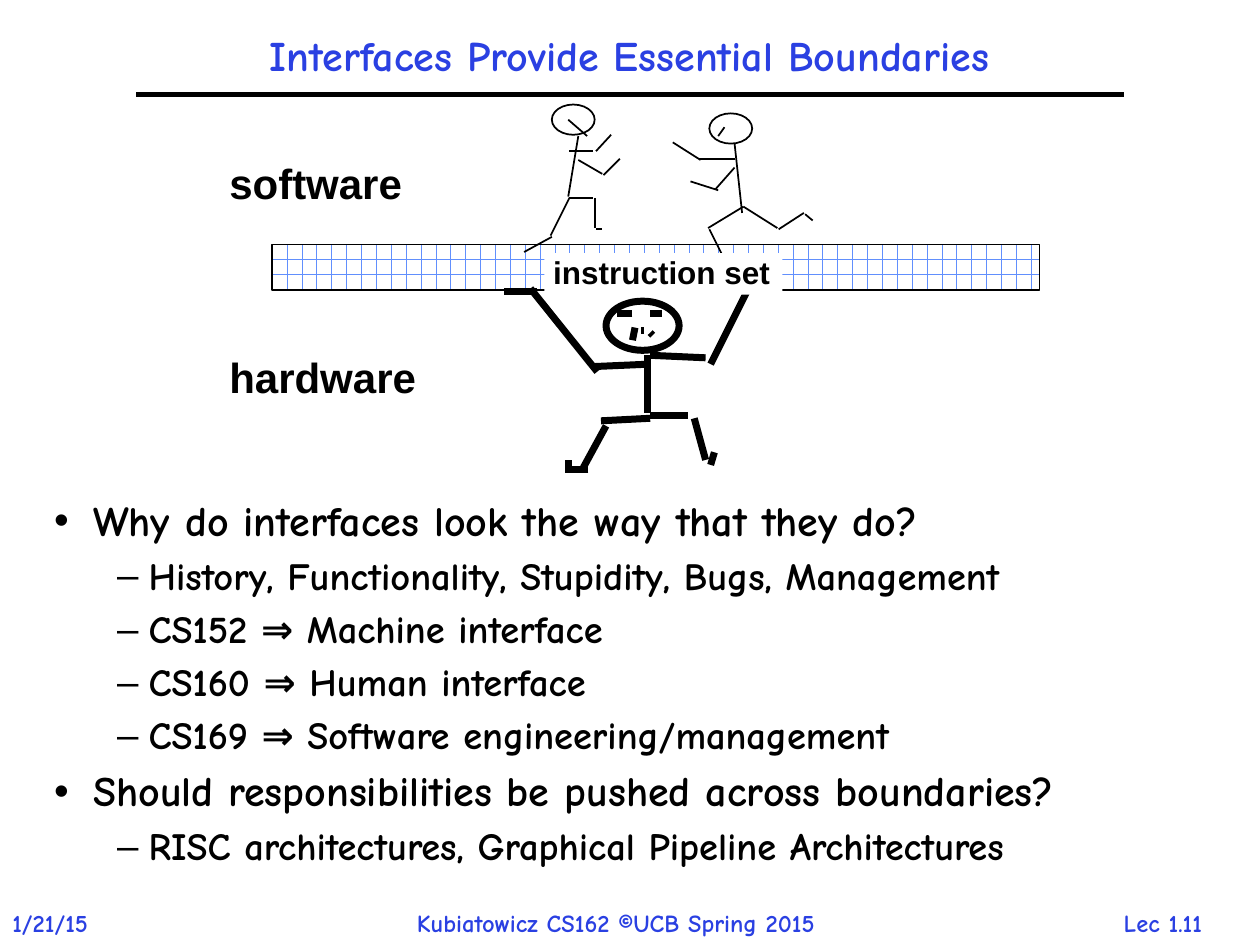
from dataclasses import dataclass
from typing import NamedTuple

from lxml.etree import SubElement
from pptx import Presentation
from pptx.dml.color import RGBColor
from pptx.enum.dml import MSO_PATTERN as Pattern
from pptx.enum.shapes import MSO_CONNECTOR as Connector, MSO_SHAPE as Shape
from pptx.enum.text import MSO_ANCHOR as Anchor, MSO_AUTO_SIZE as AutoSize, PP_ALIGN as Align
from pptx.oxml.ns import qn
from pptx.util import Inches, Pt

BLUE = RGBColor(0x2A, 0x40, 0xE2)
BRICK_BLUE = RGBColor(0x61, 0x8F, 0xFD)
BLACK = RGBColor(0, 0, 0)
WHITE = RGBColor(255, 255, 255)

SLIDE_WIDTH, SLIDE_HEIGHT = Inches(10), Inches(7.5)
COLUMNS, ROWS = 1000, 750
COMIC, ARIAL = "Comic Neue", "Arial"
WIDE_INSETS, NARROW_INSETS = (0.1, 0.05), (0.07, 0.03)


class Box(NamedTuple):
    left: float
    top: float
    width: float
    height: float


class Segment(NamedTuple):
    x1: float
    y1: float
    x2: float
    y2: float


@dataclass
class Label:
    text: str
    box: Box
    size: int
    font: str = COMIC
    color: RGBColor = BLUE
    insets: tuple = WIDE_INSETS
    spacing: float = 1.0
    align: Align = Align.LEFT
    filled: bool = False
    fixed: bool = False


@dataclass
class Figure:
    head: Box
    weight: float
    segments: list


class Level(NamedTuple):
    bullet: str
    size: int
    margin: float
    indent: float


LEVELS = [Level("•", 24, 0.31, -0.31), Level("–", 22, 0.75, -0.25)]

BULLETS = [
    (0, "Why do interfaces look the way that they do?"),
    (1, "History, Functionality, Stupidity, Bugs, Management"),
    (1, "CS152 ⇒ Machine interface"),
    (1, "CS160 ⇒ Human interface"),
    (1, "CS169 ⇒ Software engineering/management"),
    (0, "Should responsibilities be pushed across boundaries?"),
    (1, "RISC architectures, Graphical Pipeline Architectures"),
]

FOOTERS = [
    Label("Lec 1.11", Box(863, 716, 120, 33), 14, align=Align.CENTER),
    Label("1/21/15", Box(0, 716, 100, 34), 14),
    Label("Kubiatowicz CS162 ©UCB Spring 2015", Box(321, 716, 387, 34), 14),
]

LAYER_STYLE = {"font": ARIAL, "color": BLACK, "insets": NARROW_INSETS, "fixed": True}
LAYER_LABELS = [
    Label("instruction set", Box(432, 201, 189, 33), 18, spacing=0.92, filled=True, **LAYER_STYLE),
    Label("software", Box(175, 128, 160, 40), 24, spacing=0.85, **LAYER_STYLE),
    Label("hardware", Box(175, 282, 170, 40), 24, spacing=0.85, **LAYER_STYLE),
]

TITLE_RULE = Segment(108, 75, 892, 75)
INTERFACE_BAR = Box(216, 194, 609, 36)

LEFT_RUNNER = Figure(Box(438, 83, 34, 24), 1, [
    (459, 108, 451, 156), (452, 157, 471, 157), (472, 157, 472, 181),
    (473, 182, 478, 182), (452, 157, 437, 187), (438, 188, 416, 200),
    (459, 127, 478, 138), (479, 139, 492, 126), (452, 120, 471, 120),
    (473, 120, 485, 107), (466, 108, 451, 95),
])
RIGHT_RUNNER = Figure(Box(563, 90, 34, 24), 1, [
    (583, 114, 589, 169), (590, 164, 562, 181), (563, 182, 575, 206),
    (590, 164, 617, 181), (618, 182, 638, 169), (639, 170, 645, 175),
    (583, 133, 568, 150), (570, 151, 548, 144), (583, 126, 555, 126),
    (556, 127, 534, 113), (570, 108, 575, 101),
])
BEARER = Figure(Box(481, 239, 58, 39), 4, [
    (502, 270, 504, 260), (509, 262, 511, 262), (516, 264, 518, 266),
    (516, 249, 525, 249), (502, 249, 490, 249), (451, 375, 451, 365),
    (514, 282, 514, 328), (516, 330, 546, 330), (551, 332, 560, 365),
    (564, 369, 567, 359), (516, 332, 477, 334), (481, 338, 463, 371),
    (467, 373, 449, 373), (516, 282, 560, 284), (564, 289, 594, 229),
    (516, 289, 470, 291), (474, 295, 421, 229), (426, 231, 400, 231),
])


def across(columns: float) -> int:
    return round(SLIDE_WIDTH * columns / COLUMNS)


def down(rows: float) -> int:
    return round(SLIDE_HEIGHT * rows / ROWS)


def place(box: Box) -> tuple:
    return across(box.left), down(box.top), across(box.width), down(box.height)


def apply_format(target, values: dict) -> None:
    for name, value in values.items():
        setattr(target, name, value)


def format_font(paragraph, name: str, size: int, color: RGBColor) -> None:
    font = paragraph.runs[0].font
    apply_format(font, {"name": name, "size": Pt(size), "bold": True})
    font.color.rgb = color


def format_frame(frame, insets: tuple, **values) -> None:
    side, edge = map(Inches, insets)
    apply_format(frame, {"margin_left": side, "margin_right": side,
                         "margin_top": edge, "margin_bottom": edge, **values})


def draw_line(slide, segment: Segment, weight: float) -> None:
    connector = slide.shapes.add_connector(
        Connector.STRAIGHT, across(segment.x1), down(segment.y1),
        across(segment.x2), down(segment.y2))
    connector.line.color.rgb = BLACK
    connector.line.width = Pt(weight)
    SubElement(connector._element.spPr, qn("a:effectLst"))


def draw_outline(slide, kind: Shape, box: Box, weight: float):
    shape = slide.shapes.add_shape(kind, *place(box))
    shape.shadow.inherit = False
    shape.fill.background()
    shape.line.color.rgb = BLACK
    shape.line.width = Pt(weight)
    return shape


def draw_figure(slide, figure: Figure) -> None:
    draw_outline(slide, Shape.OVAL, figure.head, figure.weight)
    for segment in figure.segments:
        draw_line(slide, Segment(*segment), figure.weight)


def draw_label(slide, label: Label) -> None:
    shape = slide.shapes.add_textbox(*place(label.box))
    if label.filled:
        shape.fill.solid()
        shape.fill.fore_color.rgb = WHITE
    auto_size = AutoSize.NONE if label.fixed else AutoSize.SHAPE_TO_FIT_TEXT
    format_frame(shape.text_frame, label.insets, word_wrap=label.fixed, auto_size=auto_size)
    paragraph = shape.text_frame.paragraphs[0]
    apply_format(paragraph, {"text": label.text, "alignment": label.align,
                             "line_spacing": label.spacing})
    format_font(paragraph, label.font, label.size, label.color)


def fill_title(shape, text: str) -> None:
    shape.left, shape.top, shape.width, shape.height = place(Box(108, 17, 783, 58))
    format_frame(shape.text_frame, WIDE_INSETS, vertical_anchor=Anchor.MIDDLE,
                 auto_size=AutoSize.NONE)
    paragraph = shape.text_frame.paragraphs[0]
    apply_format(paragraph, {"text": text, "alignment": Align.CENTER, "line_spacing": 0.9})
    format_font(paragraph, COMIC, 24, BLUE)


def fill_body(shape, bullets: list) -> None:
    shape.left, shape.top, shape.width, shape.height = place(Box(33, 392, 908, 333))
    frame = shape.text_frame
    format_frame(frame, WIDE_INSETS, vertical_anchor=Anchor.TOP, auto_size=AutoSize.NONE)
    for index, (depth, text) in enumerate(bullets):
        level = LEVELS[depth]
        paragraph = frame.add_paragraph() if index else frame.paragraphs[0]
        properties = paragraph._p.get_or_add_pPr()
        properties.set("marL", str(Inches(level.margin)))
        properties.set("indent", str(Inches(level.indent)))
        before = SubElement(properties, qn("a:spcBef"))
        SubElement(before, qn("a:spcPct"), val="30000" if index else "0")
        SubElement(properties, qn("a:buChar"), char=level.bullet)
        apply_format(paragraph, {"text": text, "level": depth, "line_spacing": 0.9})
        format_font(paragraph, COMIC, level.size, BLACK)


def main() -> None:
    presentation = Presentation()
    apply_format(presentation, {"slide_width": SLIDE_WIDTH, "slide_height": SLIDE_HEIGHT})
    slide = presentation.slides.add_slide(presentation.slide_layouts[1])
    fill_title(slide.shapes.title, "Interfaces Provide Essential Boundaries")
    fill_body(slide.placeholders[1], BULLETS)
    draw_line(slide, TITLE_RULE, 3)
    bar = draw_outline(slide, Shape.RECTANGLE, INTERFACE_BAR, 1)
    bar.fill.patterned()
    bar.fill.pattern = Pattern.HORIZONTAL_BRICK
    bar.fill.fore_color.rgb = BRICK_BLUE
    bar.fill.back_color.rgb = WHITE
    for figure in (LEFT_RUNNER, RIGHT_RUNNER, BEARER):
        draw_figure(slide, figure)
    for label in FOOTERS + LAYER_LABELS:
        draw_label(slide, label)
    presentation.save("out.pptx")


if __name__ == "__main__":
    main()
